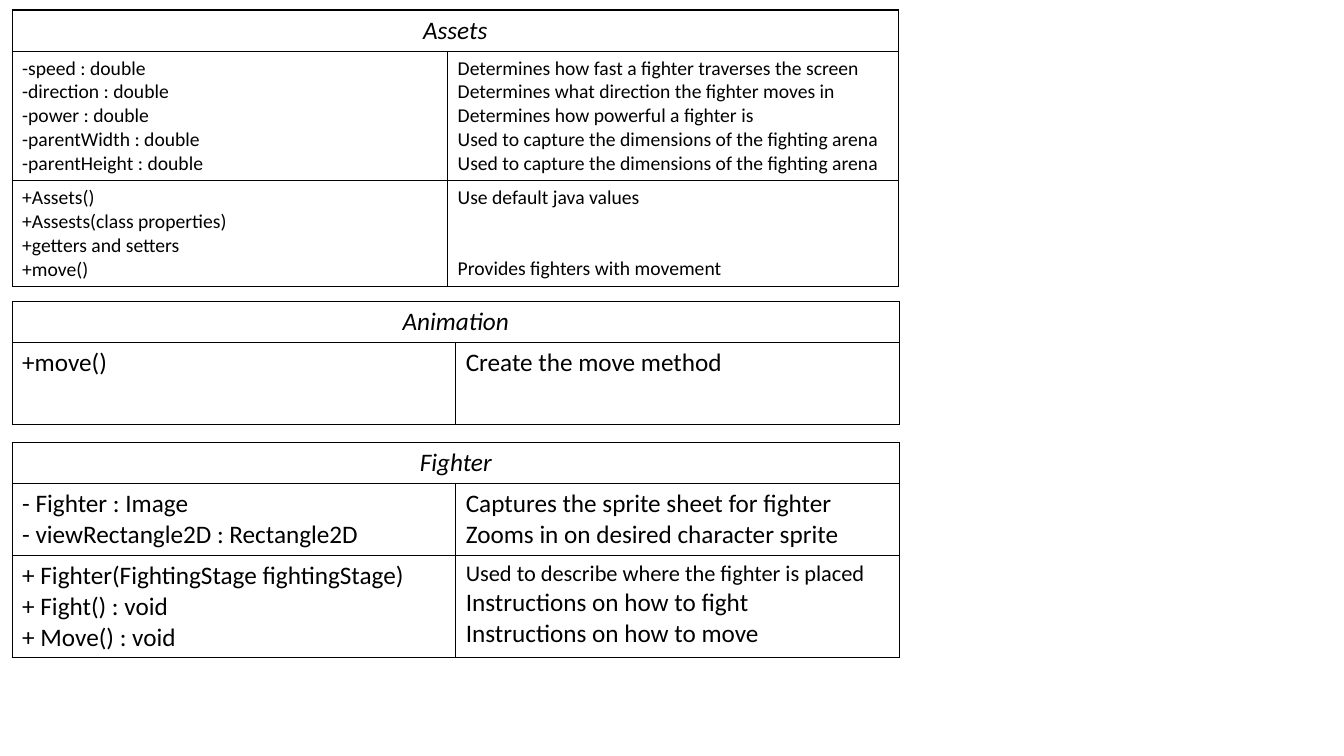
"""Builds a slide of three class tables: Assets, Animation and Fighter."""
from lxml import etree
from pptx import Presentation
from pptx import util as u
from pptx.dml import color
from pptx.enum import text
from pptx.oxml import ns

COLORS = {"ink": "000000"}
LEFT = 0.12
TITLE_HEIGHT = 0.41
TITLE_SIZE = 18

classes = [
    {
        "name": "Assets", "top": 0.1, "columns": (4.32, 4.47), "size": 14,
        "sections": [
            (1.27,
             ["-speed : double", "-direction : double", "-power : double",
              "-parentWidth : double", "-parentHeight : double"],
             ["Determines how fast a fighter traverses the screen",
              "Determines what direction the fighter moves in",
              "Determines how powerful a fighter is",
              "Used to capture the dimensions of the fighting arena",
              "Used to capture the dimensions of the fighting arena"]),
            (1.03,
             ["+Assets()", "+Assests(class properties)", "+getters and setters", "+move()"],
             ["Use default java values", "Provides fighters with movement"]),
        ],
    },
    {
        "name": "Animation", "top": 2.99, "columns": (4.4, 4.4), "size": 18,
        "sections": [(0.81, ["+move()"], ["Create the move method"])],
    },
    {
        "name": "Fighter", "top": 4.39, "columns": (4.4, 4.4), "size": 18,
        "sections": [
            (0.71,
             ["- Fighter : Image", "- viewRectangle2D : Rectangle2D"],
             ["Captures the sprite sheet for fighter", "Zooms in on desired character sprite"]),
            (0.99,
             ["+ Fighter(FightingStage fightingStage)", "+ Fight() : void", "+ Move() : void"],
             ["Used to describe where the fighter is placed",
              "Instructions on how to fight", "Instructions on how to move"]),
        ],
    },
]
special_formats = {
    "Used to describe where the fighter is placed": {"size": u.Pt(16)},
}
space_before = {"Provides fighters with movement": u.Pt(34)}


def write_lines(cell, lines, size, italic=False):
    cell.text = "\n".join(lines)
    for paragraph, line in zip(cell.text_frame.paragraphs, lines):
        paragraph.alignment = text.PP_ALIGN.CENTER if italic else text.PP_ALIGN.LEFT
        if line in space_before:
            paragraph.space_before = space_before[line]
        font = paragraph.runs[0].font
        formats = {"name": "Calibri", "size": u.Pt(size), "italic": italic, "bold": False}
        for attribute, value in (formats | special_formats.get(line, {})).items():
            setattr(font, attribute, value)
        font.color.rgb = color.RGBColor.from_string(COLORS["ink"])


def outline(cell):
    properties = cell._tc.get_or_add_tcPr()
    for side in ("a:lnL", "a:lnR", "a:lnT", "a:lnB"):
        border = etree.SubElement(properties, ns.qn(side), w=str(u.Pt(1)))
        fill = etree.SubElement(border, ns.qn("a:solidFill"))
        etree.SubElement(fill, ns.qn("a:srgbClr"), val=COLORS["ink"])
    cell.fill.background()


deck = Presentation()
deck.slide_width, deck.slide_height = u.Inches(13.33), u.Inches(7.5)
slide = deck.slides.add_slide(deck.slide_layouts[6])

for entry in classes:
    heights = [TITLE_HEIGHT] + [section[0] for section in entry["sections"]]
    members = slide.shapes.add_table(
        len(heights), 2, u.Inches(LEFT), u.Inches(entry["top"]),
        u.Inches(sum(entry["columns"])), u.Inches(sum(heights))).table
    members.first_row = members.horz_banding = False
    for column, width in zip(members.columns, entry["columns"]):
        column.width = u.Inches(width)
    for row, height in zip(members.rows, heights):
        row.height = u.Inches(height)
    for cell in (cell for row in members.rows for cell in row.cells):
        outline(cell)

    title = members.cell(0, 0)
    title.merge(members.cell(0, 1))
    write_lines(title, [entry["name"]], TITLE_SIZE, italic=True)
    for row_index, (_, signatures, purposes) in enumerate(entry["sections"], 1):
        write_lines(members.cell(row_index, 0), signatures, entry["size"])
        write_lines(members.cell(row_index, 1), purposes, entry["size"])

deck.save("out.pptx")
